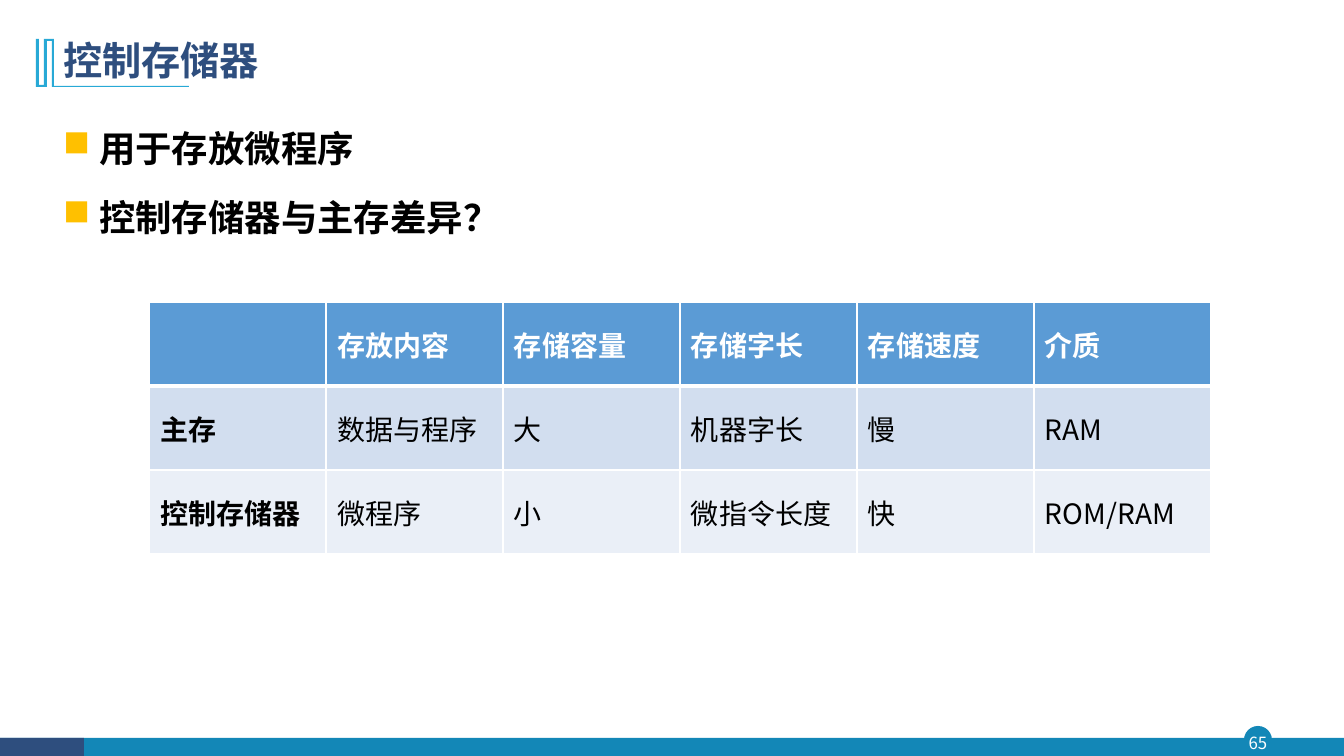
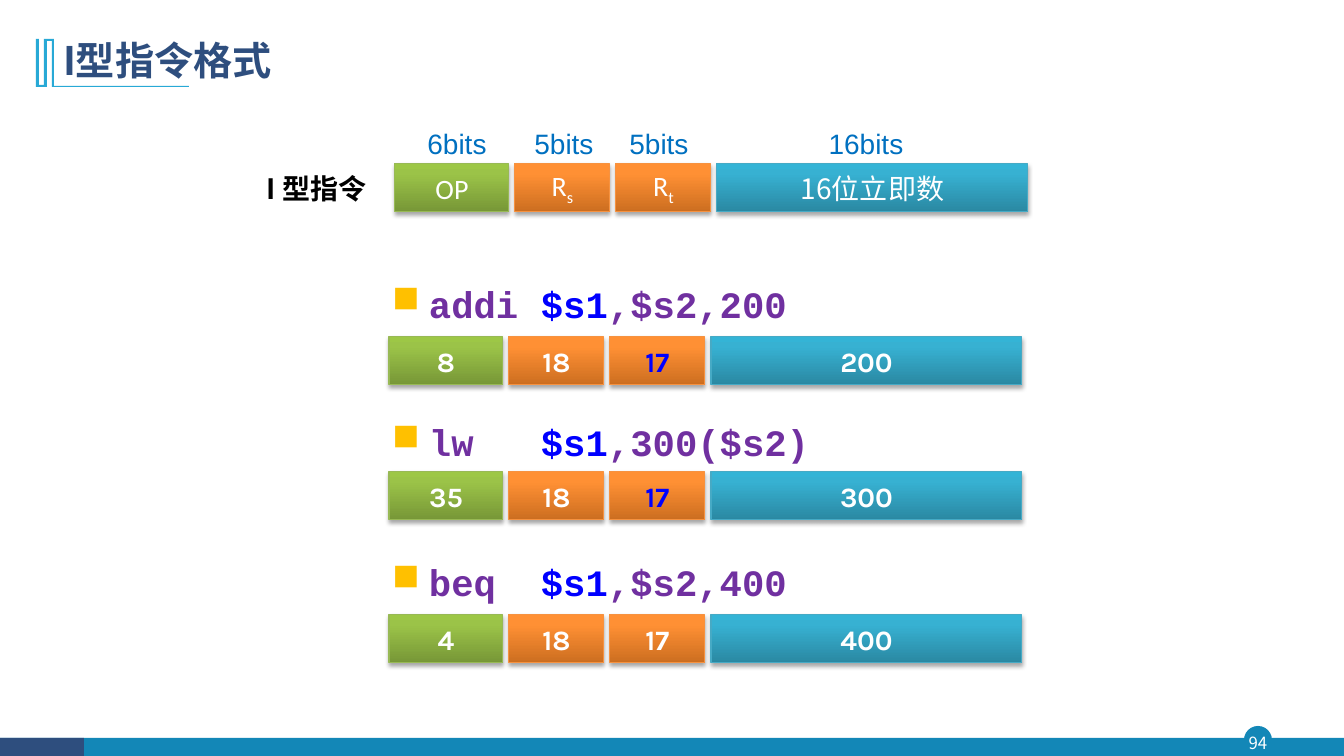
"""Build two slides on control memory and the I-type instruction format."""
from lxml.etree import SubElement as Sub
from pptx import Presentation as Deck
from pptx.dml.color import RGBColor as Rgb
from pptx.enum.shapes import MSO_SHAPE as Kind
from pptx.enum.text import MSO_ANCHOR as Anchor, PP_ALIGN as Align
from pptx.oxml.ns import qn
from pptx.util import Pt

SCALE = 12192000 / 1344
CJK, MONO = "Noto Sans CJK SC", "Courier New"
HEX = {
    "white": "FFFFFF", "black": "000000", "navy": "2E4E7E", "teal": "1387B7",
    "sky": "28A9D6", "gold": "FFC000", "head": "5B9BD5", "band": "D2DEEF",
    "pale": "EAEFF7", "bits": "0070C0", "code": "7030A0", "blue": "0000FF",
}
GREEN = ("779737", "9BC348", "9DC746", "98B955")
ORANGE = ("CC6E20", "FF9034", "FF9136", "F69240")
CYAN = ("2A88A2", "37B1D2", "34B4D6", "46AAC5")
FIELDS = ((114, GREEN), (95, ORANGE), (95, ORANGE), (311, CYAN))
GAP, HIGH = 6, 48
MARK = ((54, 39), (54, 86), (189, 86), (189, 87), (52, 87), (52, 41), (47, 41),
        (47, 87), (36, 87), (36, 39), (39, 39), (39, 85), (44, 85), (44, 39))
GRID = (
    ("", "存放内容", "存储容量", "存储字长", "存储速度", "介质"),
    ("主存", "数据与程序", "大", "机器字长", "慢", "RAM"),
    ("控制存储器", "微程序", "小", "微指令长度", "快", "ROM/RAM"),
)
BITS = ((408, "6bits"), (515, "5bits"), (610, "5bits"), (817, "16bits"))
CODES = (
    (267, 337, ("addi ", "$s1", ",$s2,200"), ("8", "18", "17", "200"), "blue"),
    (405, 472, ("lw   ", "$s1", ",300($s2)"), ("35", "18", "17", "300"), "blue"),
    (545, 615, ("beq  ", "$s1", ",$s2,400"), ("4", "18", "17", "400"), "white"),
)


def px(*nums):
    """Turn px lengths into EMU."""
    return [round(n * SCALE) for n in nums]


def rgb(name):
    """Look up a named colour."""
    return Rgb.from_string(HEX[name])


def style(run, size, color, face=CJK, bold=False):
    """Set the font of one run."""
    font = run.font
    font.size, font.bold, font.name = Pt(size), bold, face
    font.color.rgb = rgb(color)
    Sub(run._r.rPr, qn("a:ea"), typeface=face)


def paint(frame, *look, align=None, pad=(10, 5), anchor=Anchor.MIDDLE):
    """Set the layout of a text frame and the font of its runs."""
    frame.word_wrap, frame.vertical_anchor = True, anchor
    frame.margin_left, frame.margin_top = px(*pad)
    frame.margin_right, frame.margin_bottom = px(*pad)
    for para in frame.paragraphs:
        para.alignment = align
        for run in para.runs:
            style(run, *look)


def label(shapes, at, text, *look, **rest):
    """Add a text box."""
    frame = shapes.add_textbox(*px(*at)).text_frame
    frame.text = text
    paint(frame, *look, **rest)
    return frame


def bullet(para, hang):
    """Give a paragraph a square gold bullet."""
    wide = px(hang)[0]
    props = para._p.get_or_add_pPr()
    props.set("marL", str(wide))
    props.set("indent", str(-wide))
    Sub(Sub(props, qn("a:buClr")), qn("a:srgbClr"), val=HEX["gold"])
    Sub(props, qn("a:buFont"), typeface="Wingdings")
    Sub(props, qn("a:buChar"), char="n")


def solid(shape, color):
    """Fill a shape with one colour, with no line or shadow."""
    shape.shadow.inherit = False
    shape.fill.solid()
    shape.fill.fore_color.rgb = rgb(color)
    shape.line.fill.background()


def frame(deck, title, page):
    """Add a slide with its title, mark, footer and page number."""
    shapes = deck.slides.add_slide(deck.slide_layouts[6]).shapes
    for kind, at, color in (
        (Kind.OVAL, (1244, 726, 28, 28), "teal"),
        (Kind.RECTANGLE, (0, 738, 1344, 18), "teal"),
        (Kind.RECTANGLE, (0, 738, 84, 18), "navy"),
    ):
        solid(shapes.add_shape(kind, *px(*at)), color)
    label(shapes, (1242, 727, 32, 31), page, 12, "white",
          align=Align.CENTER, pad=(0, 0))
    path = shapes.build_freeform(*MARK[0], scale=SCALE)
    path.add_line_segments(MARK[1:], close=True)
    solid(path.convert_to_shape(), "sky")
    head = label(shapes, (53, 28, 1159, 69), title, 28, "navy", CJK, True)
    head.paragraphs[0].line_spacing = 0.9
    return shapes


def points(shapes, at, *lines):
    """Add a list of bold bullet points."""
    text = label(shapes, at, "\n".join(lines), 26, "black", CJK, True,
                 anchor=Anchor.TOP)
    for num, para in enumerate(text.paragraphs):
        bullet(para, 36)
        para.line_spacing = 1.2
        para.space_before, para.space_after = Pt(6 if num else 0), Pt(6)


def edge(cell, row):
    """Draw white cell borders, thick below the header."""
    thick = {("B", 0), ("T", 1)}
    for side in "LRTB":
        wide = Pt(3 if (side, row) in thick else 1)
        line = Sub(cell._tc.get_or_add_tcPr(), qn("a:ln" + side), w=str(wide))
        Sub(Sub(line, qn("a:solidFill")), qn("a:srgbClr"), val=HEX["white"])


def table(shapes, left, top, wide, high):
    """Add the table that compares the two memories."""
    rows, cols = len(GRID), len(GRID[0])
    size = px(left, top, wide * cols, high * rows)
    grid = shapes.add_table(rows, cols, *size).table
    grid.horz_banding = False
    for row, texts in enumerate(GRID):
        for col, text in enumerate(texts):
            cell = grid.cell(row, col)
            edge(cell, row)
            cell.fill.solid()
            cell.fill.fore_color.rgb = rgb(("head", "band", "pale")[row])
            cell.text = text
            cell.vertical_anchor = Anchor.MIDDLE
            cell.margin_left, cell.margin_right = px(11, 11)
            for run in cell.text_frame.paragraphs[0].runs:
                style(run, 20, "black" if row else "white", CJK,
                      row == 0 or col == 0)


def gloss(shape, tones):
    """Give a shape a shaded fill, a thin line and a soft shadow."""
    shape.shadow.inherit = False
    shape.fill.gradient()
    props = shape._element.spPr
    fill = props.find(qn("a:gradFill"))
    for part in list(fill):
        fill.remove(part)
    stops = Sub(fill, qn("a:gsLst"))
    for pos, tone in zip((0, 80000, 100000), tones):
        Sub(Sub(stops, qn("a:gs"), pos=str(pos)), qn("a:srgbClr"), val=tone)
    Sub(fill, qn("a:lin"), ang="16200000", scaled="0")
    shape.line.color.rgb = Rgb.from_string(tones[-1])
    shape.line.width = Pt(0.75)
    shade = Sub(props.find(qn("a:effectLst")), qn("a:outerShdw"),
                blurRad="40000", dist="23000", dir="5400000", rotWithShape="0")
    tint = Sub(shade, qn("a:srgbClr"), val=HEX["black"])
    Sub(tint, qn("a:alpha"), val="35000")


def fields(shapes, left, top, texts, looks):
    """Add one grouped row of instruction fields."""
    group = shapes.add_group_shape().shapes
    for (wide, tones), text, look in zip(FIELDS, texts, looks):
        box = group.add_shape(Kind.RECTANGLE, *px(left, top, wide, HIGH))
        gloss(box, tones)
        main, *subs = text.split("_")
        box.text_frame.text = main
        para = box.text_frame.paragraphs[0]
        for sub in subs:
            run = para.add_run()
            run.text = sub
            run.font._element.set("baseline", "-25000")
        paint(box.text_frame, *look, align=Align.CENTER)
        left += wide + GAP


def code(shapes, top, parts):
    """Add a line of code with its target register in blue."""
    text = label(shapes, (382, top, 630, 55), "", anchor=Anchor.TOP)
    para = text.paragraphs[0]
    bullet(para, 37)
    para.line_spacing = 1.2
    for part, color in zip(parts, ("code", "blue", "code")):
        run = para.add_run()
        run.text = part
        style(run, 26.6, color, MONO, True)


def main():
    """Build and save both slides."""
    deck = Deck()
    deck.slide_width, deck.slide_height = px(1344, 756)

    shapes = frame(deck, "控制存储器", "65")
    points(shapes, (53, 112, 1142, 160), "用于存放微程序", "控制存储器与主存差异？")
    table(shapes, 149, 302, 177, 84)

    shapes = frame(deck, "I型指令格式", "94")
    latin = (20, "white", "Calibri")
    fields(shapes, 395, 164, ("OP", "R_s", "R_t", "16位立即数"),
           (latin, latin, latin, (20, "white")))
    for left, text in BITS:
        label(shapes, (left, 122, 98, 45), text, 20, "bits", "Arial",
              align=Align.CENTER, pad=(0, 5), anchor=Anchor.TOP)
    label(shapes, (245, 164, 143, HIGH), "I 型指令", 20, "black", CJK, True,
          align=Align.CENTER)
    for line, row, parts, texts, target in CODES:
        code(shapes, line, parts)
        fields(shapes, 389, row, texts,
               [(20, color, "Karla", True)
                for color in ("white", "white", target, "white")])
    deck.save("out.pptx")


if __name__ == "__main__":
    main()
